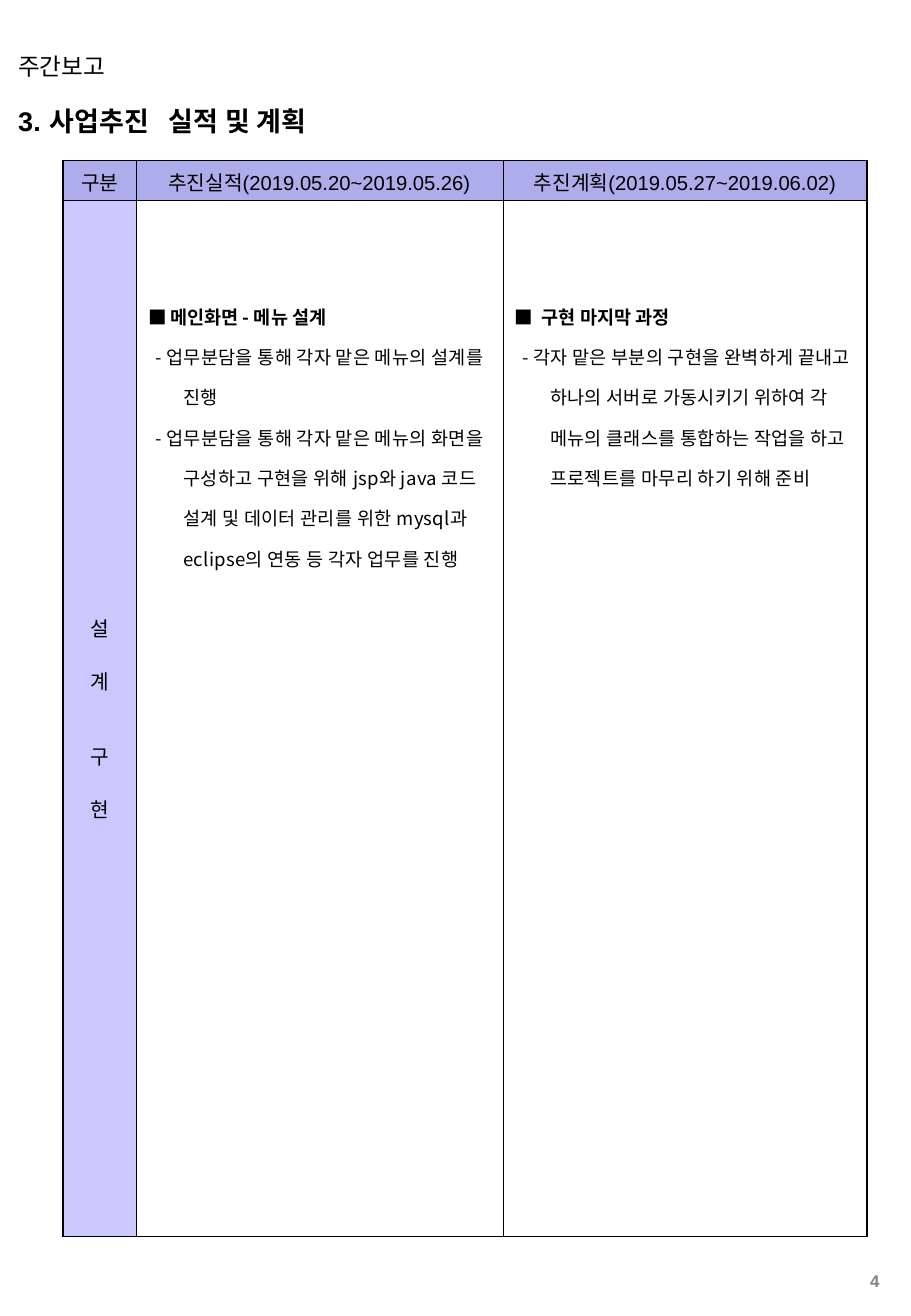
import pptx
import pptx.util
import pptx.dml.color
import pptx.enum.text
from lxml import etree

HEAD = "주간보고"
TITLE = "3. 사업추진\t실적 및 계획"
PAGE = "4"
TOPS = ["구분", "추진실적(2019.05.20~2019.05.26)", "추진계획(2019.05.27~2019.06.02)"]
STEPS = [("설", 0), ("계", 14), ("구", 27), ("현", 14)]  # text, space before
DONE = [
    "■\t메인화면 - 메뉴 설계",
    "- 업무분담을 통해 각자 맡은 메뉴의 설계를 진행",
    "- 업무분담을 통해 각자 맡은 메뉴의 화면을 구성하고 구현을 위해 jsp와 java 코드 설계 및 "
    "데이터 관리를 위한 mysql과 eclipse의 연동 등 각자 업무를 진행",
]
PLAN = [
    "■\t구현 마지막 과정",
    "- 각자 맡은 부분의 구현을 완벽하게 끝내고 하나의 서버로 가동시키기 위하여 각 메뉴의 "
    "클래스를 통합하는 작업을 하고 프로젝트를 마무리 하기 위해 준비",
]
COLORS = {"ink": "000000", "page": "808080", "top": "ADADEB", "side": "C9C9FF"}
LATIN, HANGUL = "Arial", "Noto Sans CJK KR"
COLS, ROWS = [0.6, 3.02, 3.0], [0.33, 8.53]
THIN, THICK = 0.45, 1.08
HANG, DASH = 0.29, 0.23

Inches, Pt = pptx.util.Inches, pptx.util.Pt
ALIGN, ANCHOR = pptx.enum.text.PP_ALIGN, pptx.enum.text.MSO_ANCHOR
RGB = pptx.dml.color.RGBColor.from_string


def style(para, size, font=LATIN, color="ink", bold=False, align=ALIGN.LEFT, track=0):
    """Format the runs; track is extra letter spacing in points."""
    para.alignment = align
    for run in para.runs:
        face = run.font
        face.size, face.bold, face.name = Pt(size), bold, font
        face.color.rgb = RGB(COLORS[color])
        face._element.set("spc", str(round(track * 100)))
        east = etree.SubElement(face._element, pptx.oxml.ns.qn("a:ea"))
        east.set("typeface", HANGUL)


def place(shape, left, top, width, height, text, size, **look):
    shape.left, shape.top = Inches(left), Inches(top)
    shape.width, shape.height = Inches(width), Inches(height)
    frame = shape.text_frame
    frame.word_wrap = True
    frame.auto_size = pptx.enum.text.MSO_AUTO_SIZE.NONE
    frame.vertical_anchor = ANCHOR.TOP
    frame.text = text
    style(frame.paragraphs[0], size, **look)


def stop(para, pos):
    """Add a left tab stop."""
    tabs = etree.SubElement(para._p.get_or_add_pPr(), pptx.oxml.ns.qn("a:tabLst"))
    etree.SubElement(tabs, pptx.oxml.ns.qn("a:tab"), pos=str(Inches(pos)), algn="l")


def border(cell, col):
    props = cell._tc.get_or_add_tcPr()
    thick = {0: "L", len(COLS) - 1: "R"}.get(col)
    for side in "LRTB":
        width = Pt(THICK if side == thick else THIN)
        line = etree.SubElement(props, pptx.oxml.ns.qn("a:ln" + side), w=str(int(width)))
        fill = etree.SubElement(line, pptx.oxml.ns.qn("a:solidFill"))
        etree.SubElement(fill, pptx.oxml.ns.qn("a:srgbClr"), val=COLORS["ink"])


def paint(cell, color):
    cell.fill.solid()
    cell.fill.fore_color.rgb = RGB(COLORS[color])
    cell.vertical_anchor = ANCHOR.MIDDLE


def report(cell, lines, gap):
    """Fill a cell with a heading, its text at gap, and dashed items."""
    cell.margin_top = Inches(0.73)
    cell.fill.background()
    cell.text_frame.text = "\n".join(lines)
    for para in cell.text_frame.paragraphs:
        first = para.text.startswith("■")
        props = para._p.get_or_add_pPr()
        props.set("marL", str(Inches(gap if first else HANG)))
        props.set("indent", str(-Inches(gap if first else DASH)))
        para.line_spacing = 1.5
        style(para, 11, font=HANGUL, bold=first, track=0 if first else 0.15)


def main():
    deck = pptx.Presentation()
    deck.slide_width, deck.slide_height = Inches(7.5), Inches(10.84)
    slide = deck.slides.add_slide(deck.slide_layouts[5])
    shapes = slide.shapes

    place(shapes.title, 0.05, 0.81, 5.36, 0.37, TITLE, 16, bold=True, track=0.2)
    stop(shapes.title.text_frame.paragraphs[0], 1.24)
    place(shapes.add_textbox(0, 0, 0, 0), 0.05, 0.38, 5.95, 0.34, HEAD, 14)
    place(shapes.add_textbox(0, 0, 0, 0), 6.78, 10.42, 0.56, 0.24, PAGE, 10,
          color="page", bold=True, align=ALIGN.RIGHT)

    table = shapes.add_table(len(ROWS), len(COLS), Inches(0.52), Inches(1.32),
                             Inches(sum(COLS)), Inches(sum(ROWS))).table
    table.first_row = table.horz_banding = False
    for row, height in zip(table.rows, ROWS):
        row.height = Inches(height)
    for col, width in enumerate(COLS):
        table.columns[col].width = Inches(width)
        for row in range(len(ROWS)):
            border(table.cell(row, col), col)
        top = table.cell(0, col)
        paint(top, "top")
        top.margin_top, top.margin_bottom = Inches(0.05), Inches(0.02)
        top.text_frame.text = TOPS[col]
        style(top.text_frame.paragraphs[0], 12, align=ALIGN.CENTER)

    side = table.cell(1, 0)
    paint(side, "side")
    side.text_frame.text = "\n".join(text for text, gap in STEPS)
    for para, (text, gap) in zip(side.text_frame.paragraphs, STEPS):
        para.space_before = Pt(gap)
        style(para, 12, align=ALIGN.CENTER)
    report(table.cell(1, 1), DONE, 0.18)
    report(table.cell(1, 2), PLAN, 0.22)

    deck.save("out.pptx")


if __name__ == "__main__":
    main()
